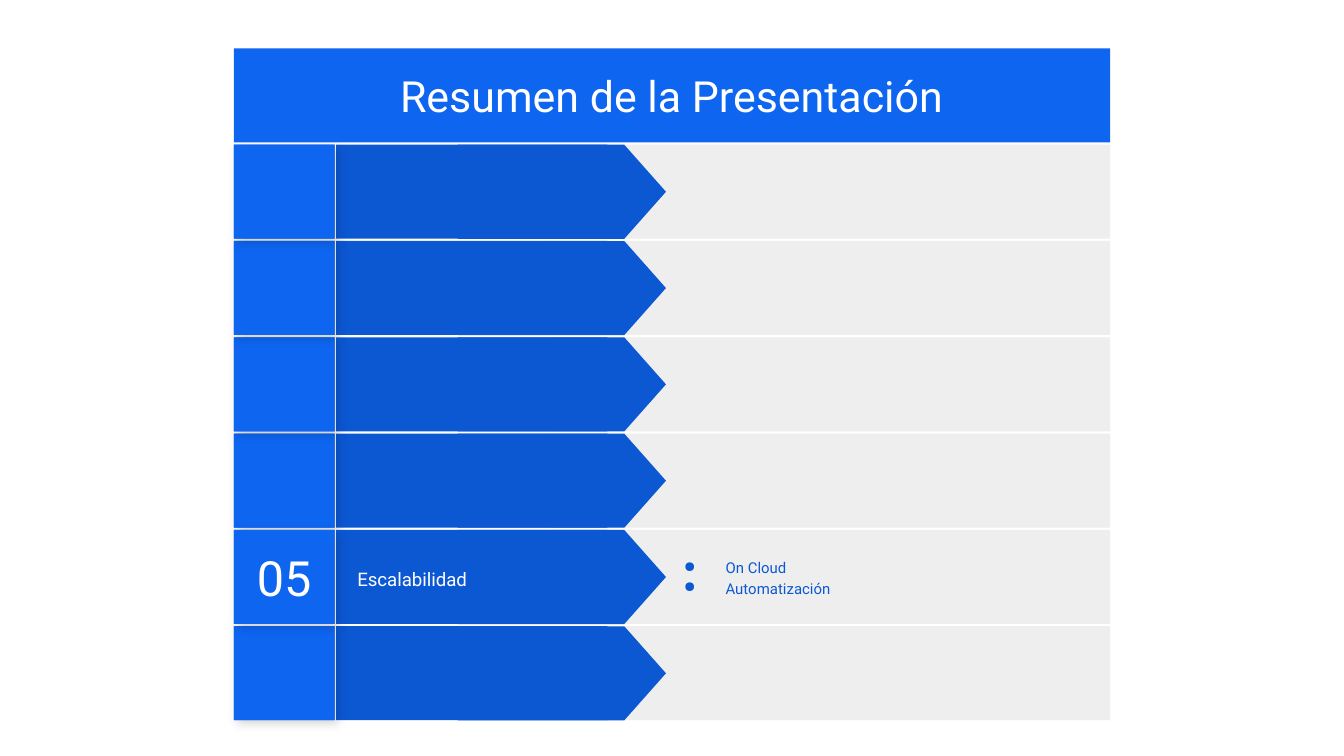
from lxml import etree
from pptx import Presentation
from pptx.dml.color import RGBColor
from pptx.enum.shapes import MSO_SHAPE as SHAPE
from pptx.enum.text import MSO_ANCHOR as ANCHOR, PP_ALIGN as ALIGN
from pptx.oxml.ns import qn
from pptx.util import Inches, Pt

COLORS = {
    "white": "FFFFFF",
    "blue": "0E65F0",
    "under": "0D5DDF",
    "dark": "0C58D3",
    "gray": "EEEEEE",
    "black": "000000",
}
FONT = "Roboto"

SLIDE_W = Inches(10)
SLIDE_H = SLIDE_W * 9 // 16
COL = SLIDE_W / 1000
LEFT, TOP, WIDTH = 174, 36, 652
ROW_H = 70
PITCH = 430 / 6

ROWS = [
    {}, {}, {}, {},
    {"number": "05", "title": "Escalabilidad",
     "points": ["On Cloud", "Automatización"]},
    {},
]
STACK = [3, 2, 1, 0, 5]
ACTIVE = 4


def rgb(name):
    return RGBColor.from_string(COLORS[name])


def cells(*values):
    return [round(v * COL) for v in values]


def add_box(shapes, box, fill, kind=SHAPE.RECTANGLE, line=None):
    sp = shapes.add_shape(kind, *cells(*box))
    sp.shadow.inherit = False
    sp.fill.solid()
    sp.fill.fore_color.rgb = rgb(fill)
    if line:
        sp.line.color.rgb = rgb(line)
        sp.line.width = Pt(0.75)
    else:
        sp.line.fill.background()
    return sp


def add_shadow(sp):
    effects = sp._element.spPr.find(qn("a:effectLst"))
    shadow = etree.SubElement(
        effects, qn("a:outerShdw"), blurRad=str(Pt(5.6)), dist=str(Pt(2.2)),
        dir=str(45 * 60000), algn="bl", rotWithShape="0")
    color = etree.SubElement(shadow, qn("a:srgbClr"), val=COLORS["black"])
    etree.SubElement(color, qn("a:alpha"), val="17000")


def add_bullet(p, color):
    pPr = p._p.get_or_add_pPr()
    pPr.set("marL", str(Inches(0.5)))
    pPr.set("indent", str(-Inches(0.31)))
    bu_color = etree.SubElement(pPr, qn("a:buClr"))
    etree.SubElement(bu_color, qn("a:srgbClr"), val=COLORS[color])
    etree.SubElement(pPr, qn("a:buChar"), char="●")


def write(sp, *lines, size, color="white", align=ALIGN.LEFT, spacing=None,
          bullet=False):
    tf = sp.text_frame
    tf.word_wrap = True
    tf.vertical_anchor = ANCHOR.MIDDLE
    tf.margin_left = tf.margin_right = Inches(0.1)
    tf.margin_top = tf.margin_bottom = Inches(0.1)
    for i, line in enumerate(lines):
        p = tf.add_paragraph() if i else tf.paragraphs[0]
        p.alignment = align
        if spacing:
            p.line_spacing = spacing
        if bullet:
            add_bullet(p, color)
        r = p.add_run()
        r.text = line
        r.font.name = FONT
        r.font.size = Pt(size)
        r.font.color.rgb = rgb(color)


def add_header(shapes, x, y, w, h):
    sp = add_box(shapes, (x, y, w, h), "blue")
    write(sp, "Resumen de la Presentación", size=23, align=ALIGN.CENTER)


def add_row(shapes, x, y, w, h, number=None, title=None, points=()):
    add_box(shapes, (x + 234, y, w - 234, h), "gray")
    add_box(shapes, (x + 76, y, 202, h), "dark")
    length = 155
    arrow = add_box(shapes, (x + 209, y + (h - length) / 2, h, length),
                    "dark", SHAPE.FLOWCHART_OFFPAGE_CONNECTOR)
    arrow.rotation = 270
    if title:
        tb = shapes.add_textbox(*cells(x + 82, y + 8, 212, h - 16))
        write(tb, title, size=10, spacing=1.15)
    add_shadow(add_box(shapes, (x, y, 75, h), "under"))
    tile = add_box(shapes, (x, y, 75, h), "blue")
    if number:
        write(tile, number, size=26, align=ALIGN.CENTER)
    if points:
        tb = shapes.add_textbox(*cells(x + 306, y, 325, h))
        write(tb, *points, size=8, color="dark", spacing=1.15, bullet=True)


def add_summary(slide):
    add_box(slide.shapes, (0, 483, 1000, 80), "white", line="white")
    agenda = slide.shapes.add_group_shape().shapes
    active = slide.shapes.add_group_shape().shapes
    for i in STACK + [ACTIVE]:
        shapes = active if i == ACTIVE else agenda
        add_row(shapes, LEFT, TOP + PITCH * (i + 1), WIDTH, ROW_H, **ROWS[i])
        if i == 0:
            add_header(agenda, LEFT, TOP, WIDTH, ROW_H)


def main():
    prs = Presentation()
    prs.slide_width = SLIDE_W
    prs.slide_height = SLIDE_H
    add_summary(prs.slides.add_slide(prs.slide_layouts[6]))
    prs.save("out.pptx")


if __name__ == "__main__":
    main()
